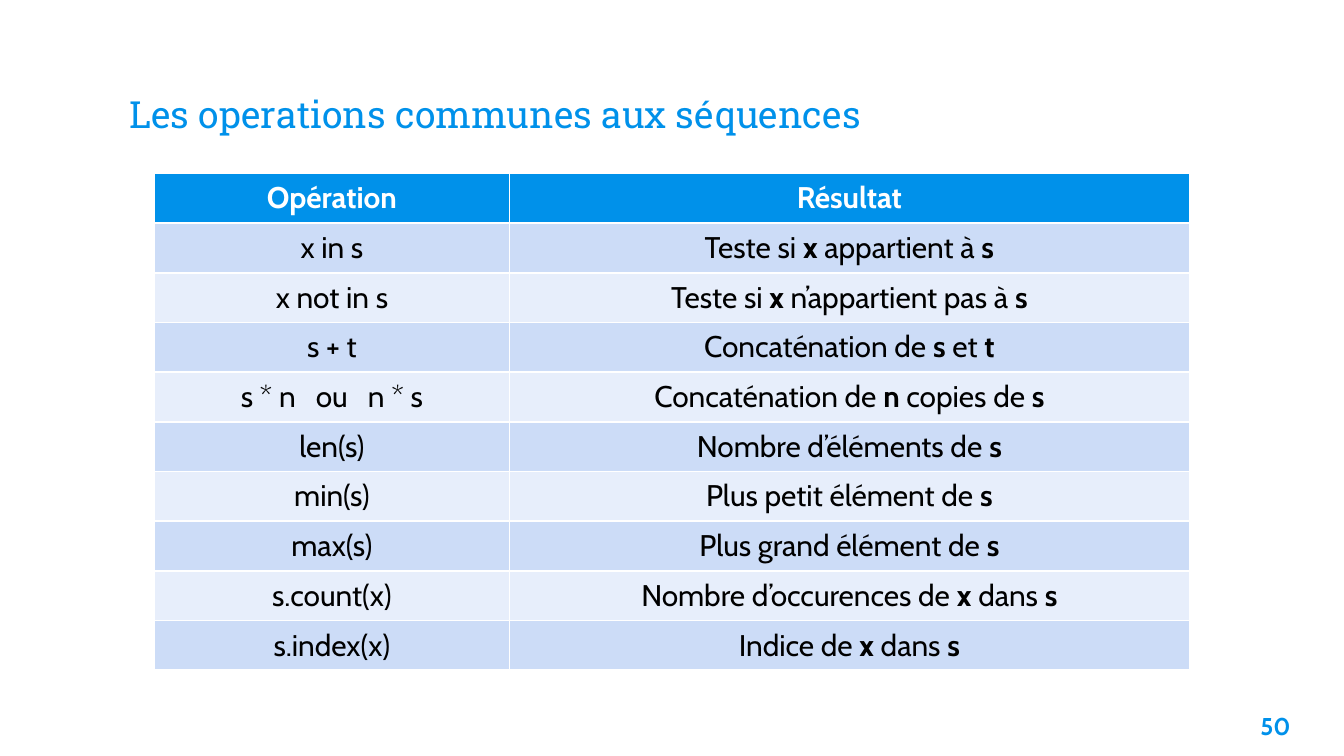
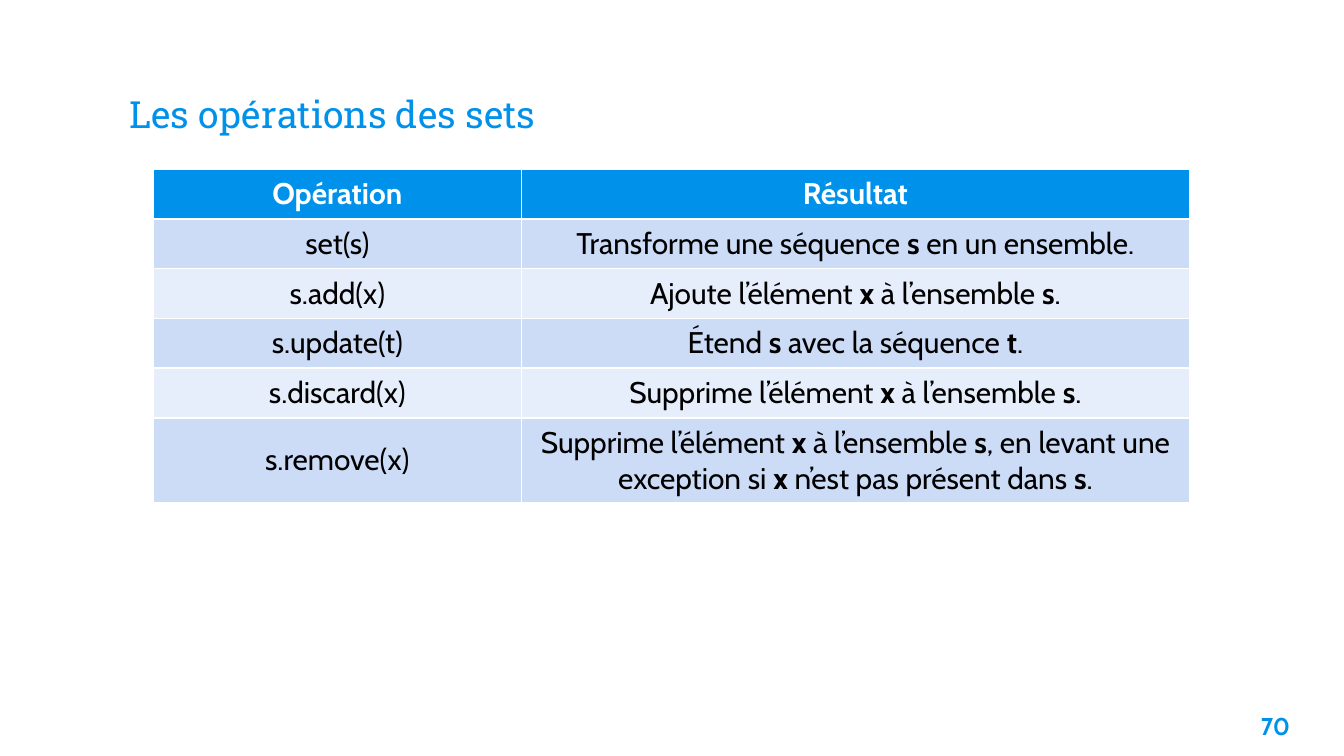
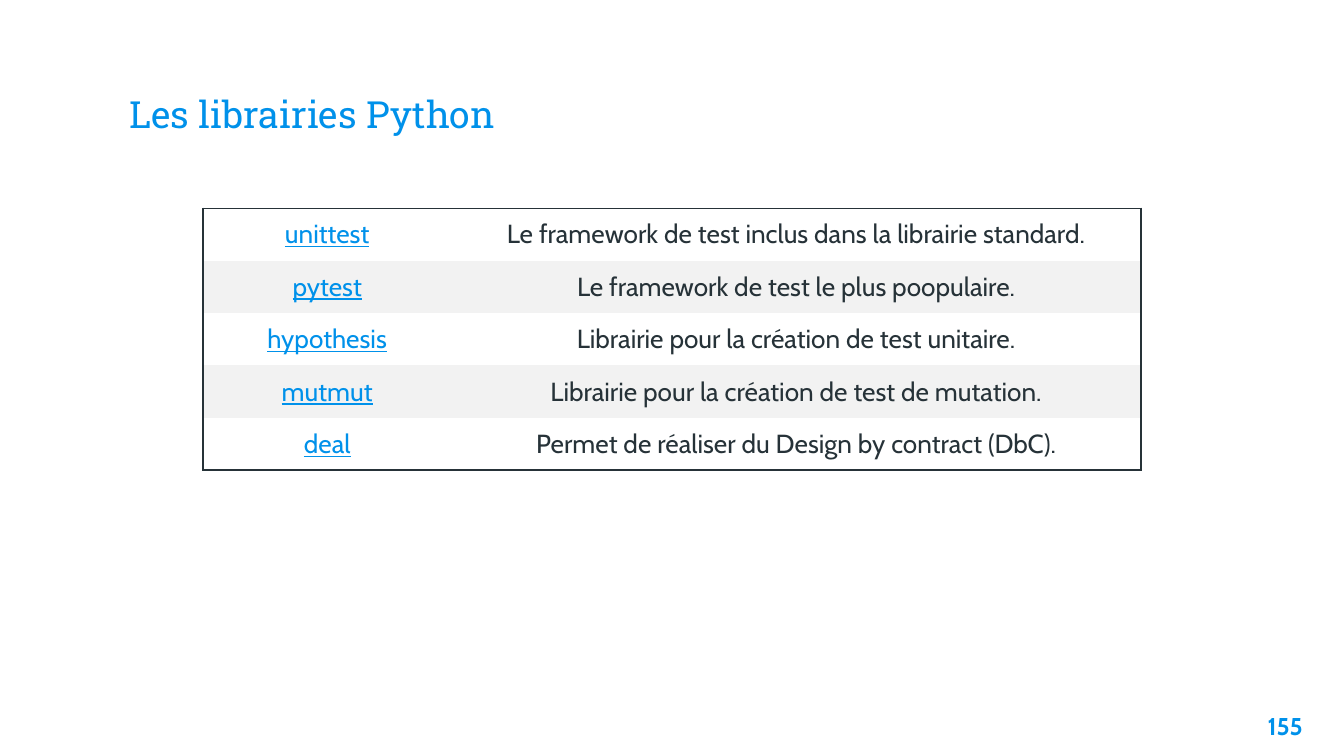
import dataclasses

import lxml.etree
import pptx
import pptx.dml.color
import pptx.enum.text
import pptx.oxml.ns
import pptx.util

Inches = pptx.util.Inches
ALIGN = pptx.enum.text.PP_ALIGN
ANCHOR = pptx.enum.text.MSO_ANCHOR


@dataclasses.dataclass(frozen=True)
class Theme:
    """Colours, fonts and type sizes shared by the slides."""
    accent: str = "0091EA"
    white: str = "FFFFFF"
    black: str = "000000"
    slate: str = "263238"
    blue_bands: tuple = ("CCDCF7", "E7EEFB")
    grey_bands: tuple = ("FFFFFF", "F2F2F2")
    heading_font: str = "Roboto Slab"
    body_font: str = "Cabin"
    title_size: int = 20
    operation_size: int = 16
    library_size: int = 14
    number_size: int = 13


THEME = Theme()
TITLE_BOX = (0.86, 0.34, 8.28, 0.77)
NUMBER_BOX = (9.19, 5.19, 0.6, 0.43)
OPERATION_HEADER = ("Opération", "Résultat")

# Words between backticks are bold.
SLIDES = [
    {
        "title": "Les operations communes aux séquences",
        "number": "50",
        "kind": "operations",
        "origin": (1.15, 1.29),
        "columns": (2.64, 5.06),
        "row_heights": [0.37] * 10,
        "rows": [
            OPERATION_HEADER,
            ("x in s", "Teste si `x` appartient à `s`"),
            ("x not in s", "Teste si `x` n’appartient pas à `s`"),
            ("s + t", "Concaténation de `s` et `t`"),
            ("s * n   ou   n * s", "Concaténation de `n` copies de `s`"),
            ("len(s)", "Nombre d’éléments de `s`"),
            ("min(s)", "Plus petit élément de `s`"),
            ("max(s)", "Plus grand élément de `s`"),
            ("s.count(x)", "Nombre d’occurences de `x` dans `s`"),
            ("s.index(x)", "Indice de `x` dans `s`"),
        ],
    },
    {
        "title": "Les opérations des sets",
        "number": "70",
        "kind": "operations",
        "origin": (1.14, 1.26),
        "columns": (2.74, 4.97),
        "row_heights": [0.37] * 5 + [0.62],
        "rows": [
            OPERATION_HEADER,
            ("set(s)", "Transforme une séquence `s` en un ensemble."),
            ("s.add(x)", "Ajoute l’élément `x` à l’ensemble `s`."),
            ("s.update(t)", "Étend `s` avec la séquence `t`."),
            ("s.discard(x)", "Supprime l’élément `x` à l’ensemble `s`."),
            ("s.remove(x)", "Supprime l’élément `x` à l’ensemble `s`, en levant une "
                            "exception si `x` n’est pas présent dans `s`."),
        ],
    },
    {
        "title": "Les librairies Python",
        "number": "155",
        "kind": "libraries",
        "number_align": ALIGN.RIGHT,
        "origin": (1.51, 1.55),
        "columns": (1.85, 5.13),
        "row_heights": [0.39] * 5,
        "rows": [
            ("unittest", "Le framework de test inclus dans la librairie standard."),
            ("pytest", "Le framework de test le plus poopulaire."),
            ("hypothesis", "Librairie pour la création de test unitaire."),
            ("mutmut", "Librairie pour la création de test de mutation."),
            ("deal", "Permet de réaliser du Design by contract (DbC)."),
        ],
    },
]


def rgb(value):
    """Turn a hex string into a colour."""
    return pptx.dml.color.RGBColor.from_string(value)


def write_text(frame, text, *, size, color, font=THEME.body_font, bold=False,
               underline=False, align=ALIGN.CENTER):
    """Write one paragraph; words between backticks become bold."""
    paragraph = frame.paragraphs[0]
    paragraph.alignment = align
    for index, part in enumerate(text.split("`")):
        if part:
            run = paragraph.add_run()
            run.text = part
            run.font.name = font
            run.font.size = pptx.util.Pt(size)
            run.font.color.rgb = rgb(color)
            run.font.bold = bold or index % 2 == 1
            run.font.underline = underline


def set_insets(part, horizontal, vertical):
    """Set the inner margins of a text frame or a cell."""
    part.margin_left = part.margin_right = Inches(horizontal)
    part.margin_top = part.margin_bottom = Inches(vertical)


def set_borders(cell, edges):
    """Draw the L, R, T, B edges given as (colour, points); hide the others."""
    properties = cell._tc.get_or_add_tcPr()
    qn = pptx.oxml.ns.qn
    for position, side in enumerate("LRTB"):
        line = lxml.etree.Element(qn("a:ln" + side))
        if side in edges:
            color, width = edges[side]
            line.set("w", str(pptx.util.Pt(width)))
            fill = lxml.etree.SubElement(line, qn("a:solidFill"))
            lxml.etree.SubElement(fill, qn("a:srgbClr")).set("val", color)
        else:
            lxml.etree.SubElement(line, qn("a:noFill"))
        properties.insert(position, line)


def operation_style(row, column, last_row):
    """Return fill, text format, edges and vertical inset of an operation cell."""
    header = row == 0
    fill = THEME.accent if header else THEME.blue_bands[(row - 1) % 2]
    text_format = {"size": THEME.operation_size, "bold": header,
                   "color": THEME.white if header else THEME.black}
    edges = {side: (THEME.white, 1) for side in "LRTB"}
    return fill, text_format, edges, 0.05


def library_style(row, column, last_row):
    """Return fill, text format, outer edges and vertical inset of a library cell."""
    is_name = column == 0
    text_format = {"size": THEME.library_size, "underline": is_name,
                   "color": THEME.accent if is_name else THEME.slate}
    sides = "L" if is_name else "R"
    sides += "T" if row == 0 else ""
    sides += "B" if row == last_row else ""
    edges = {side: (THEME.slate, 1) for side in sides}
    return THEME.grey_bands[row % 2], text_format, edges, 0.07


STYLES = {"operations": operation_style, "libraries": library_style}


def add_content_table(slide, content):
    """Add the table of one slide, styled by its kind."""
    rows, columns, heights = content["rows"], content["columns"], content["row_heights"]
    size = (sum(columns), sum(heights))
    table = slide.shapes.add_table(len(rows), len(columns),
                                   *map(Inches, content["origin"] + size)).table
    table.first_row = content["kind"] == "operations"
    table.horz_banding = False
    for column, width in zip(table.columns, columns):
        column.width = Inches(width)
    for row, height in zip(table.rows, heights):
        row.height = Inches(height)
    for r, texts in enumerate(rows):
        for c, text in enumerate(texts):
            cell = table.cell(r, c)
            fill, text_format, edges, inset = STYLES[content["kind"]](r, c, len(rows) - 1)
            set_borders(cell, edges)
            cell.fill.solid()
            cell.fill.fore_color.rgb = rgb(fill)
            cell.vertical_anchor = ANCHOR.MIDDLE
            set_insets(cell, 0.1, inset)
            write_text(cell.text_frame, text, **text_format)


def add_title(slide, text):
    """Place and fill the title placeholder."""
    title = slide.shapes.title
    title.left, title.top, title.width, title.height = map(Inches, TITLE_BOX)
    frame = title.text_frame
    frame.auto_size = pptx.enum.text.MSO_AUTO_SIZE.NONE
    frame.vertical_anchor = ANCHOR.BOTTOM
    set_insets(frame, 0.1, 0.1)
    write_text(frame, text, size=THEME.title_size, color=THEME.accent,
               font=THEME.heading_font, align=ALIGN.LEFT)


def add_number(slide, number, align):
    """Write the slide number in the lower right corner."""
    frame = slide.shapes.add_textbox(*map(Inches, NUMBER_BOX)).text_frame
    frame.word_wrap = True
    set_insets(frame, 0.1, 0.1)
    write_text(frame, number, size=THEME.number_size, color=THEME.accent,
               bold=True, align=align)


def build():
    """Build and save the 16:9 presentation."""
    deck = pptx.Presentation()
    deck.slide_width = Inches(10)
    deck.slide_height = Inches(10 * 9 / 16)
    title_only = deck.slide_layouts[5]
    for content in SLIDES:
        slide = deck.slides.add_slide(title_only)
        add_title(slide, content["title"])
        add_number(slide, content["number"], content.get("number_align", ALIGN.CENTER))
        add_content_table(slide, content)
    deck.save("out.pptx")


build()
